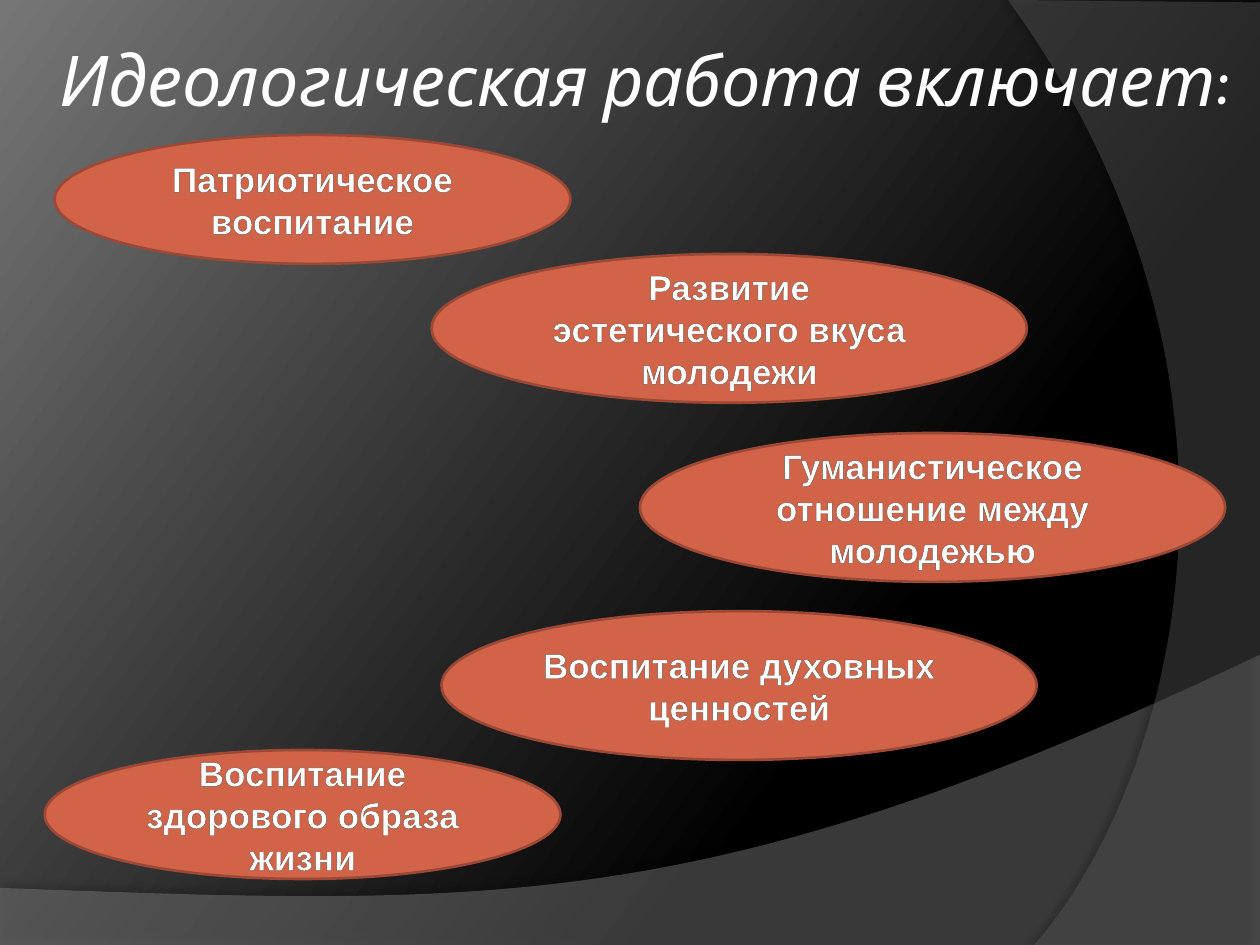
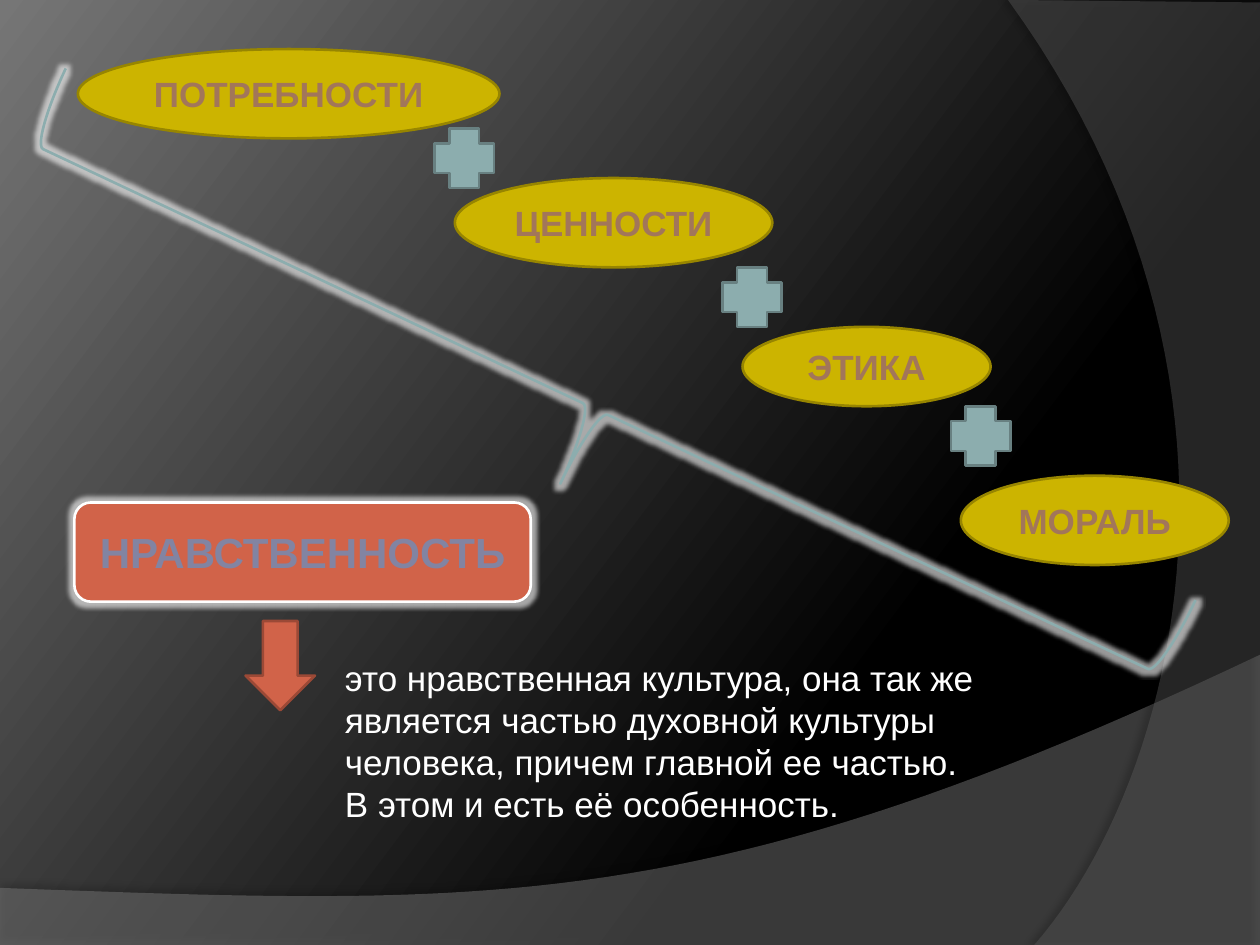
from dataclasses import dataclass

from pptx import Presentation
from pptx import util as u
from pptx.dml.color import RGBColor
from pptx.enum import shapes, text
from pptx.oxml import parse_xml
from pptx.oxml.ns import nsdecls, qn


@dataclass(frozen=True)
class Theme:
    white: str = "FFFFFF"
    black: str = "000000"
    backdrop_light: str = "767676"
    wave: str = "7F7F7F"
    side_arc: str = "5E5E5E"
    brick: str = "D16349"
    brick_edge: str = "9B4936"
    gold: str = "CCB400"
    gold_edge: str = "978500"
    sage: str = "8CADAE"
    sage_edge: str = "688081"
    brown_text: str = "A2765A"
    violet_text: str = "8284A2"
    text_edge: str = "6A5B51"
    title_font: str = "Karla"
    body_font: str = "Arial"
    title_size: int = 40
    result_size: int = 24
    body_size: int = 20
    edge_width: float = 1.5


theme = Theme()
kinds = shapes.MSO_SHAPE


def add_figure(page, kind, place, fill, edge, label="", color=theme.white, size=theme.body_size):
    """Add a preset shape at place (left, top, width, height in cm) with an outlined bold label."""
    figure = page.shapes.add_shape(kind, *map(u.Cm, place))
    figure.shadow.inherit = False
    if fill:
        figure.fill.solid()
        figure.fill.fore_color.rgb = RGBColor.from_string(fill)
    else:
        figure.fill.background()
    figure.line.color.rgb = RGBColor.from_string(edge)
    figure.line.width = u.Pt(theme.edge_width)
    if label:
        frame = figure.text_frame
        frame.word_wrap = True
        frame.vertical_anchor = text.MSO_ANCHOR.MIDDLE
        para = frame.paragraphs[0]
        para.alignment = text.PP_ALIGN.CENTER
        span = para.add_run()
        span.text = label
        style_font(para.font, theme.body_font, size, color)
        para.font.bold = True
        span._r.get_or_add_rPr().append(parse_xml(
            f'<a:ln {nsdecls("a")} w="9000"><a:solidFill>'
            f'<a:srgbClr val="{theme.text_edge}"/></a:solidFill></a:ln>'))
    return figure


def style_font(font, name, size, color):
    font.name = name
    font.size = u.Pt(size)
    font.color.rgb = RGBColor.from_string(color)


deck = Presentation()
deck.slide_width, deck.slide_height = u.Cm(25.4), u.Cm(19.05)
master = deck.slide_master

# Gradient background on the master
master.background.fill.solid()
backdrop = master.element.cSld.find(qn("p:bg")).find(qn("p:bgPr"))
stops = [(0, theme.black), (30, theme.black), (100, theme.backdrop_light)]
stop_list = "".join(f'<a:gs pos="{position * 1000}"><a:srgbClr val="{color}"/></a:gs>'
                    for position, color in stops)
backdrop.replace(backdrop[0], parse_xml(
    f'<a:gradFill {nsdecls("a")} rotWithShape="1"><a:gsLst>{stop_list}</a:gsLst>'
    f'<a:lin ang="{217 * 60000}" scaled="0"/></a:gradFill>'))

# Slide 1: what the work includes
page = deck.slides.add_slide(deck.slide_layouts[5])

# Bands: straight corners, then a Bezier curve from the last corner;
# they are drawn on the first page and moved to the master.
bands = [
    ([(0, 17.9), (0, 19.05), (25.4, 19.05), (25.4, 13.2)],
     [(14.2, 18.52), (9.93, 18.26), (0, 17.9)], theme.wave, 45, 35, 270),
    ([(25.4, 0.05), (25.4, 19.05), (20.85, 19.05)],
     [(23.75, 15.72), (25.86, 7.62), (20.32, 0)], theme.side_arc, 40, 45, 180),
]
curve_steps = 48
for layer, (corners, pulls, color, opacity, shade, direction) in enumerate(bands):
    controls = [corners[-1], *pulls]
    outline = list(corners)
    for step in range(1, curve_steps + 1):
        t = step / curve_steps
        weights = ((1 - t) ** 3, 3 * t * (1 - t) ** 2, 3 * t ** 2 * (1 - t), t ** 3)
        outline.append(tuple(sum(w * point[axis] for w, point in zip(weights, controls))
                             for axis in (0, 1)))
    points = [(u.Cm(x), u.Cm(y)) for x, y in outline]
    builder = page.shapes.build_freeform(*points[0])
    builder.add_line_segments(points[1:], close=True)
    band = builder.convert_to_shape()
    band.shadow.inherit = False
    band.fill.solid()
    band.fill.fore_color.rgb = RGBColor.from_string(color)
    band.line.fill.background()
    properties = band.element.spPr
    tint = properties.find(qn("a:solidFill")).find(qn("a:srgbClr"))
    tint.append(parse_xml(f'<a:alpha {nsdecls("a")} val="{opacity * 1000}"/>'))
    properties.find(qn("a:effectLst")).append(parse_xml(
        f'<a:outerShdw {nsdecls("a")} blurRad="{u.Pt(4)}" dist="{u.Pt(3.5)}" '
        f'dir="{direction * 60000}" algn="ctr" rotWithShape="0">'
        f'<a:srgbClr val="{theme.black}"><a:alpha val="{shade * 1000}"/></a:srgbClr>'
        '</a:outerShdw>'))
    master.shapes.element.insert(2 + layer, band.element)

title = page.shapes.title
title.left, title.top, title.width, title.height = map(u.Cm, (0.89, 0, 24.2, 3.18))
frame = title.text_frame
frame.text = "Идеологическая работа включает:"
frame.word_wrap = True
frame.auto_size = text.MSO_AUTO_SIZE.NONE
frame.vertical_anchor = text.MSO_ANCHOR.MIDDLE
frame.margin_left = frame.margin_right = u.Cm(0.13)
para = frame.paragraphs[0]
para.alignment = text.PP_ALIGN.CENTER
style_font(para.font, theme.title_font, theme.title_size, theme.white)
para.font.italic = True

directions = [
    ("Патриотическое воспитание", (1.1, 2.72, 10.4, 2.6)),
    ("Развитие эстетического вкуса молодежи", (8.7, 5.12, 12, 3)),
    ("Гуманистическое отношение между молодежью", (12.9, 8.73, 11.8, 3)),
    ("Воспитание духовных ценностей", (8.9, 12.32, 12, 3)),
    ("Воспитание здорового образа жизни", (0.9, 15.12, 10.4, 2.6)),
]
for label, place in directions:
    add_figure(page, kinds.OVAL, place, theme.brick, theme.brick_edge, label)

# Slide 2: the parts that add up to morality
page = deck.slides.add_slide(deck.slide_layouts[1])
unused_title = page.shapes.title.element
unused_title.getparent().remove(unused_title)

body = page.placeholders[1]
body.left, body.top, body.width, body.height = map(u.Cm, (6.7, 13.1, 13.2, 3.8))
frame = body.text_frame
frame.text = ("это нравственная культура, она так же является частью духовной культуры "
              "человека, причем главной ее частью. В этом и есть её особенность.")
frame.word_wrap = True
frame.auto_size = text.MSO_AUTO_SIZE.NONE
frame.vertical_anchor = text.MSO_ANCHOR.TOP
para = frame.paragraphs[0]
para.space_before = u.Pt(0)
layout = para._p.get_or_add_pPr()
layout.set("marL", "0")
layout.set("indent", "0")
layout.append(parse_xml(f'<a:buNone {nsdecls("a")}/>'))
style_font(para.font, theme.body_font, theme.body_size, theme.white)

parts = [
    ("ПОТРЕБНОСТИ", (1.57, 0.99, 8.5, 1.8)),
    ("ЦЕННОСТИ", (9.17, 3.59, 6.4, 1.8)),
    ("ЭТИКА", (14.97, 6.59, 5, 1.6)),
    ("МОРАЛЬ", (19.37, 9.59, 5.4, 1.8)),
]
for label, place in parts:
    add_figure(page, kinds.OVAL, place, theme.gold, theme.gold_edge, label, theme.brown_text)

for left, top in [(8.76, 2.59), (14.56, 5.39), (19.17, 8.19)]:
    add_figure(page, kinds.CROSS, (left, top, 1.2, 1.2), theme.sage, theme.sage_edge)

brace = add_figure(page, kinds.LEFT_BRACE, (10.34, -4.34, 3.33, 25.17), None, theme.sage)
brace.rotation = 295.2
result = add_figure(page, kinds.ROUNDED_RECTANGLE, (1.5, 10.13, 9.2, 2), theme.brick,
                    theme.white, "НРАВСТВЕННОСТЬ", theme.violet_text, theme.result_size)
for glowing in (brace, result):
    glowing.element.spPr.find(qn("a:effectLst")).append(parse_xml(
        f'<a:glow {nsdecls("a")} rad="{u.Pt(5)}"><a:srgbClr val="{theme.white}">'
        '<a:alpha val="60000"/></a:srgbClr></a:glow>'))

add_figure(page, kinds.DOWN_ARROW, (4.95, 12.52, 1.4, 1.8), theme.brick, theme.brick_edge)

deck.save("out.pptx")
